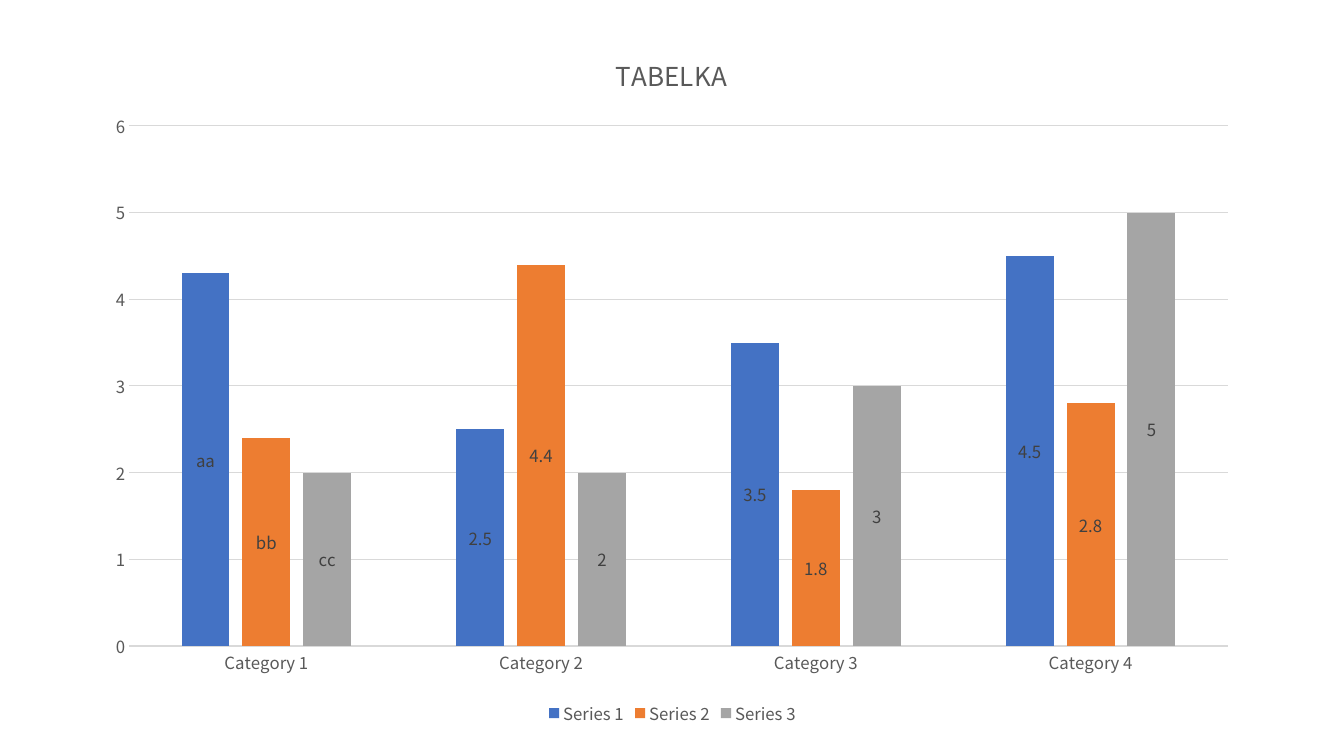
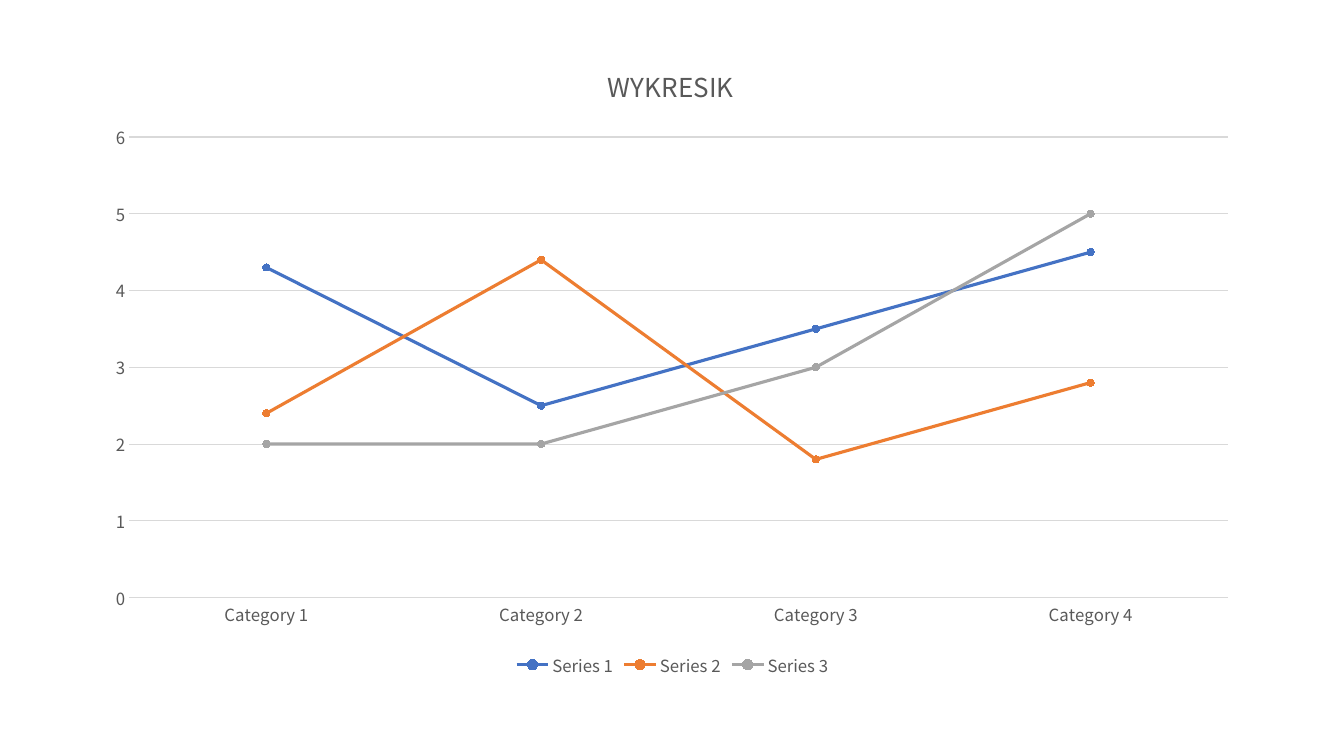
from dataclasses import dataclass
from typing import Any

from lxml.etree import SubElement
from pptx import Presentation
from pptx.chart.chart import Chart
from pptx.chart.data import CategoryChartData
from pptx.dml.color import RGBColor
from pptx.enum.chart import (
    XL_CHART_TYPE, XL_LABEL_POSITION, XL_LEGEND_POSITION,
    XL_MARKER_STYLE, XL_TICK_MARK,
)
from pptx.oxml.ns import qn
from pptx.util import Inches, Pt


# Theme and data
@dataclass(frozen=True)
class Theme:
    face: str = "Noto Sans CJK JP"
    text: str = "595959"
    label: str = "404040"
    grid: str = "D9D9D9"
    paper: str = "FFFFFF"
    fills: tuple[str, ...] = ("4472C4", "ED7D31", "A5A5A5")
    head: float = 18.6
    body: float = 12


@dataclass(frozen=True)
class Panel:
    """One chart; all lengths in inches, measured on the slide."""
    title: str
    kind: Any
    top: float
    height: float
    plot: tuple[float, float]  # top and bottom of the plot area
    head: tuple[float, float]  # left and top of the chart title
    marks: tuple[str, ...] = ()


THEME = Theme()
LEFT, WIDTH = 0.92, 11.5
PLOT_X = (1.28, 12.18)
CATS = [f"Category {n}" for n in range(1, 5)]
ROWS = {
    "Series 1": (4.3, 2.5, 3.5, 4.5),
    "Series 2": (2.4, 4.4, 1.8, 2.8),
    "Series 3": (2, 2, 3, 5),
}
PANELS = (
    Panel("TABELKA", XL_CHART_TYPE.COLUMN_CLUSTERED, 0.26, 6.98,
          (1.25, 6.41), (6.06, 0.48), ("aa", "bb", "cc")),
    Panel("WYKRESIK", XL_CHART_TYPE.LINE_MARKERS, 0.4, 6.36,
          (1.36, 5.93), (5.98, 0.59)),
)


# Shared formatting
def apply(item: Any, values: dict[str, Any]) -> None:
    for name, value in values.items():
        setattr(item, name, value)


def ink(font: Any, color: str, size: float) -> None:
    apply(font, {"name": THEME.face, "size": Pt(size), "bold": False})
    font.color.rgb = RGBColor.from_string(color)


def fill(form: Any, color: str) -> None:
    form.fill.solid()
    form.fill.fore_color.rgb = RGBColor.from_string(color)


def rule(line: Any, color: str, width: float) -> None:
    line.color.rgb = RGBColor.from_string(color)
    line.width = Pt(width)


def place(owner: Any, after: str | None, values: dict[str, Any]) -> None:
    """Give a chart part a manual layout."""
    for old in owner.findall(qn("c:layout")):
        owner.remove(old)
    layout = SubElement(owner, qn("c:layout"))
    manual = SubElement(layout, qn("c:manualLayout"))
    for name, value in values.items():
        SubElement(manual, qn(f"c:{name}")).set("val", str(value))
    prior = owner.find(qn(after)) if after else None
    if prior is None:
        owner.insert(0, layout)
    else:
        prior.addnext(layout)


# Chart parts
def draw_axes(chart: Chart) -> None:
    for axis in (chart.category_axis, chart.value_axis):
        apply(axis, {"major_tick_mark": XL_TICK_MARK.NONE,
                     "minor_tick_mark": XL_TICK_MARK.NONE})
        ink(axis.tick_labels.font, THEME.text, THEME.body)
    rule(chart.category_axis.format.line, THEME.grid, 0.75)
    value = chart.value_axis
    apply(value, {"minimum_scale": 0, "maximum_scale": 6, "major_unit": 1,
                  "has_major_gridlines": True})
    value.format.line.fill.background()
    rule(value.major_gridlines.format.line, THEME.grid, 0.75)


def draw_head(chart: Chart, panel: Panel) -> None:
    chart.has_title = True
    frame = chart.chart_title.text_frame
    frame.text = panel.title
    ink(frame.paragraphs[0].runs[0].font, THEME.text, THEME.head)
    chart.chart_title.include_in_layout = False
    left, top = panel.head
    place(chart.chart_title._element, "c:tx", {
        "xMode": "edge", "yMode": "edge",
        "x": round((left - LEFT) / WIDTH, 4),
        "y": round((top - panel.top) / panel.height, 4),
    })


def draw_key(chart: Chart) -> None:
    chart.has_legend = True
    apply(chart.legend, {"position": XL_LEGEND_POSITION.BOTTOM,
                         "include_in_layout": False})
    ink(chart.legend.font, THEME.text, THEME.body)


def draw_bars(chart: Chart, marks: tuple[str, ...]) -> None:
    apply(chart.plots[0], {"gap_width": 219, "overlap": -27})
    for row, color, mark in zip(chart.series, THEME.fills, marks):
        fill(row.format, color)
        row.invert_if_negative = False
        apply(row.data_labels, {"show_value": True,
                                "position": XL_LABEL_POSITION.CENTER})
        ink(row.data_labels.font, THEME.label, THEME.body)
        first = row.points[0].data_label
        first.text_frame.text = mark
        first.position = XL_LABEL_POSITION.CENTER
        ink(first.text_frame.paragraphs[0].runs[0].font,
            THEME.label, THEME.body)


def draw_lines(chart: Chart) -> None:
    for row, color in zip(chart.series, THEME.fills):
        row.smooth = False
        rule(row.format.line, color, 2.25)
        apply(row.marker, {"style": XL_MARKER_STYLE.CIRCLE, "size": 5})
        fill(row.marker.format, color)
        rule(row.marker.format.line, color, 0.75)


def draw_panel(slide: Any, panel: Panel) -> None:
    data = CategoryChartData()
    data.categories = CATS
    for name, values in ROWS.items():
        data.add_series(name, values)
    chart = slide.shapes.add_chart(
        panel.kind, Inches(LEFT), Inches(panel.top),
        Inches(WIDTH), Inches(panel.height), data).chart
    ink(chart.font, "000000", 10)
    chart.plots[0].vary_by_categories = False
    draw_axes(chart)
    draw_head(chart, panel)
    draw_key(chart)
    if panel.marks:
        draw_bars(chart, panel.marks)
    else:
        draw_lines(chart)
    (left, right), (top, base) = PLOT_X, panel.plot
    area = chart._chartSpace.find(qn("c:chart")).find(qn("c:plotArea"))
    place(area, None, {
        "layoutTarget": "inner", "xMode": "edge", "yMode": "edge",
        "x": round((left - LEFT) / WIDTH, 4),
        "y": round((top - panel.top) / panel.height, 4),
        "w": round((right - left) / WIDTH, 4),
        "h": round((base - top) / panel.height, 4),
    })


# Slides
deck = Presentation()
apply(deck, {"slide_width": Inches(13.33), "slide_height": Inches(7.5)})
for panel in PANELS:
    slide = deck.slides.add_slide(deck.slide_layouts[6])
    fill(slide.background, THEME.paper)
    draw_panel(slide, panel)
deck.save("out.pptx")
